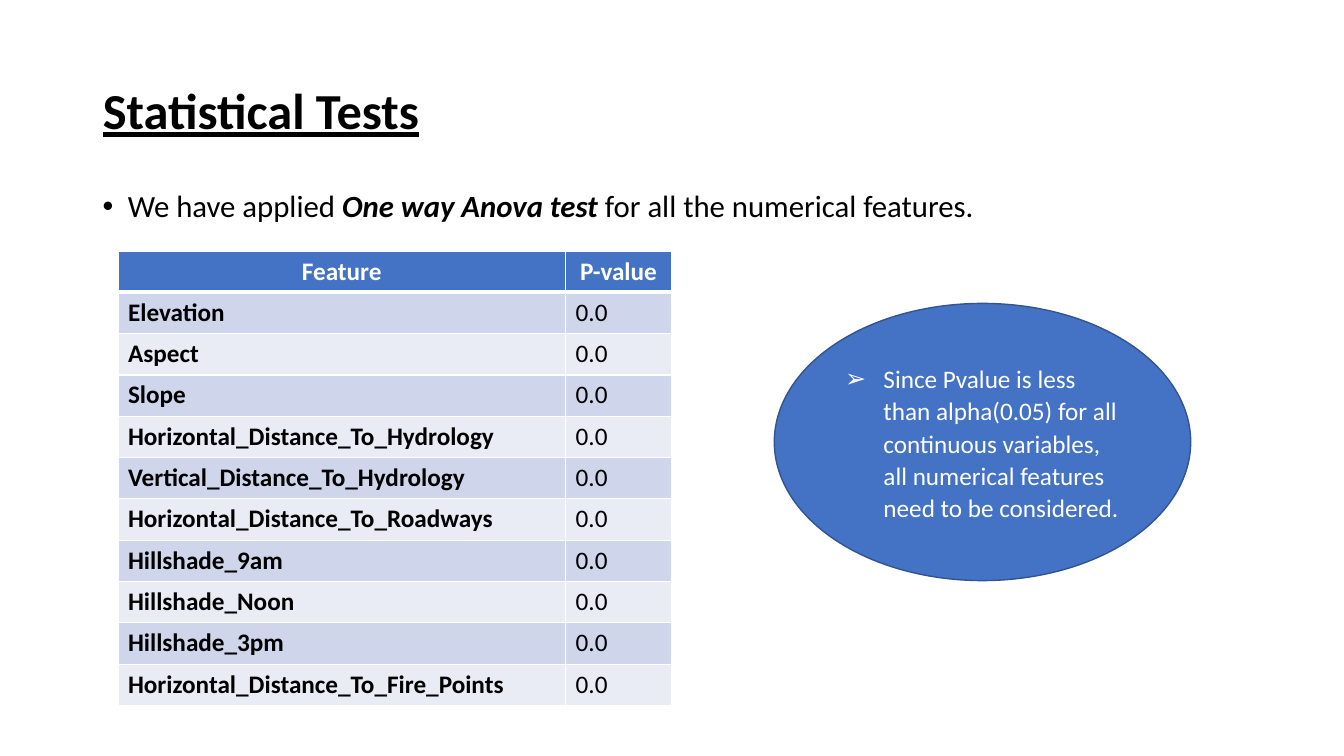
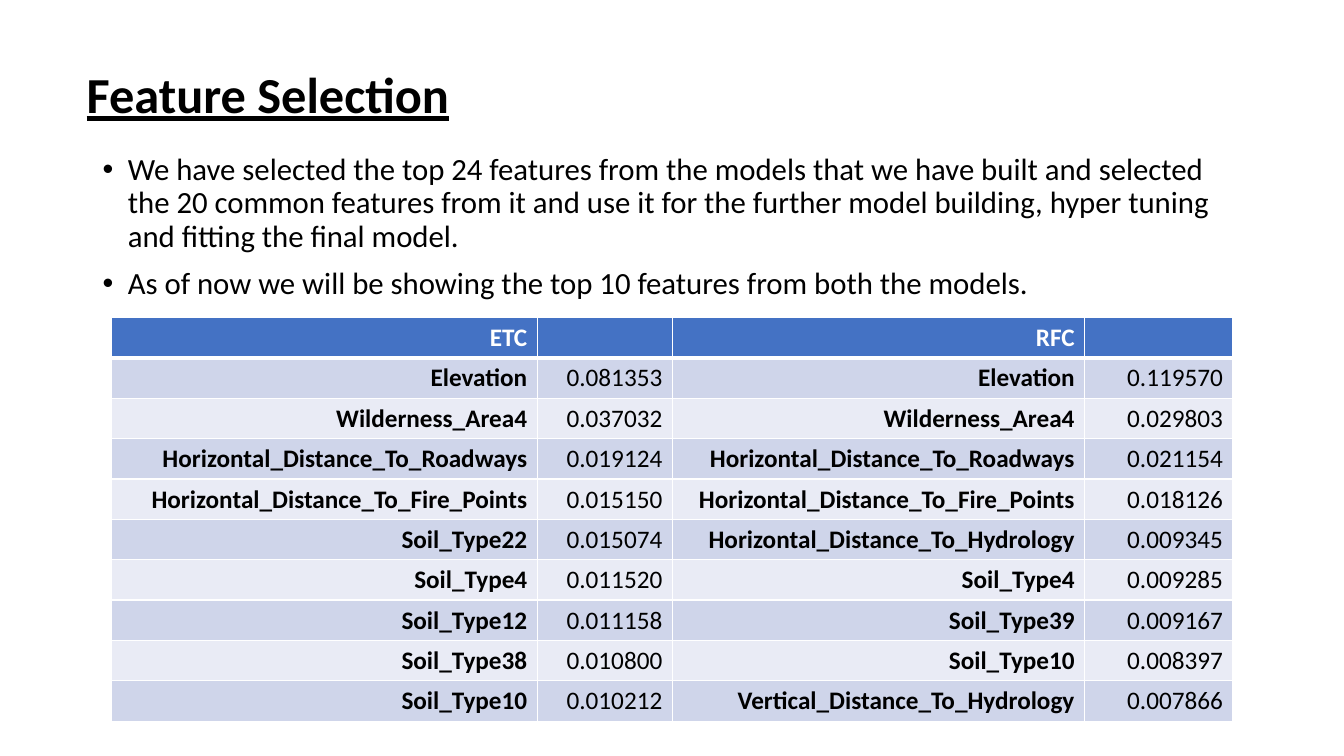
from dataclasses import dataclass

from lxml import etree
from pptx import Presentation
from pptx.dml.color import RGBColor
from pptx.enum.shapes import MSO_SHAPE
from pptx.enum.text import MSO_ANCHOR, MSO_AUTO_SIZE, PP_ALIGN
from pptx.oxml.ns import qn
from pptx.util import Inches, Pt

LEFT, CENTER, RIGHT = PP_ALIGN.LEFT, PP_ALIGN.CENTER, PP_ALIGN.RIGHT
TOP, MIDDLE = MSO_ANCHOR.TOP, MSO_ANCHOR.MIDDLE
ELLIPSE = MSO_SHAPE.OVAL
NO_AUTOFIT = MSO_AUTO_SIZE.NONE
TITLE_ONLY = 5


@dataclass(frozen=True)
class Theme:
    font: str = "Calibri"
    ink: str = "000000"
    paper: str = "FFFFFF"
    accent: str = "4472C4"
    accent_edge: str = "325491"
    bands: tuple = ("CFD5EA", "E9EBF5")
    title_size: int = 36
    body_size: int = 22
    detail_size: int = 18


class Deck:
    def __init__(self, theme):
        self.theme = theme
        self.prs = Presentation()
        self.prs.slide_width = Inches(13.33)
        self.prs.slide_height = Inches(7.5)
        self.slide = None

    def add_run(self, paragraph, text, size, color, bold=False, italic=False):
        run = paragraph.add_run()
        run.text = text
        font = run.font
        font.name, font.size = self.theme.font, Pt(size)
        font.bold, font.italic = bold, italic
        font.color.rgb = RGBColor.from_string(color)
        return run

    def set_bullet(self, paragraph, mark, indent):
        """Hang the paragraph behind its mark; call after setting its spacing."""
        props = paragraph._p.get_or_add_pPr()
        props.set("marL", str(Inches(indent)))
        props.set("indent", str(-Inches(indent)))
        etree.SubElement(props, qn("a:buFont"), typeface="Arial")
        etree.SubElement(props, qn("a:buChar"), char=mark)

    def add_slide(self, title, left, top):
        self.slide = self.prs.slides.add_slide(self.prs.slide_layouts[TITLE_ONLY])
        heading = self.slide.shapes.title
        heading.left, heading.top = Inches(left), Inches(top)
        heading.width, heading.height = Inches(11.5), Inches(1.45)
        frame = heading.text_frame
        frame.auto_size = NO_AUTOFIT
        frame.vertical_anchor = MIDDLE
        paragraph = frame.paragraphs[0]
        paragraph.alignment = LEFT
        paragraph.line_spacing = 0.9
        run = self.add_run(paragraph, title, self.theme.title_size, self.theme.ink, bold=True)
        run.font.underline = True

    def add_bullets(self, top, points):
        """Each point is a list of (text, emphasised) pairs."""
        body = self.slide.shapes.add_textbox(
            Inches(0.92), Inches(top), Inches(11.5), Inches(4.76))
        frame = body.text_frame
        frame.word_wrap = True
        for index, point in enumerate(points):
            paragraph = frame.add_paragraph() if index else frame.paragraphs[0]
            paragraph.line_spacing = 0.9
            paragraph.space_before = Pt(10)
            self.set_bullet(paragraph, "•", 0.25)
            for text, emphasised in point:
                self.add_run(paragraph, text, self.theme.body_size, self.theme.ink,
                             bold=emphasised, italic=emphasised)

    def set_borders(self, cell, bottom_width):
        props = cell._tc.get_or_add_tcPr()
        widths = {"a:lnL": 1, "a:lnR": 1, "a:lnT": 1, "a:lnB": bottom_width}
        for position, (side, width) in enumerate(widths.items()):
            line = etree.Element(qn(side), w=str(Pt(width)))
            fill = etree.SubElement(line, qn("a:solidFill"))
            etree.SubElement(fill, qn("a:srgbClr"), val=self.theme.paper)
            props.insert(position, line)

    def add_table(self, left, top, widths, row_height, rows, header_align, align, anchor):
        """Banded table whose columns alternate between bold names and values."""
        theme = self.theme
        table = self.slide.shapes.add_table(
            len(rows), len(widths), Inches(left), Inches(top),
            Inches(sum(widths)), Inches(row_height * len(rows))).table
        for column, width in zip(table.columns, widths):
            column.width = Inches(width)
        for r, row in enumerate(rows):
            is_header = r == 0
            table.rows[r].height = Inches(row_height)
            for c, text in enumerate(row):
                cell = table.cell(r, c)
                cell.vertical_anchor = anchor
                cell.fill.solid()
                cell.fill.fore_color.rgb = RGBColor.from_string(
                    theme.accent if is_header else theme.bands[(r - 1) % 2])
                self.set_borders(cell, 3 if is_header else 1)
                paragraph = cell.text_frame.paragraphs[0]
                paragraph.alignment = header_align if is_header else align
                if text:
                    self.add_run(paragraph, text, theme.detail_size,
                                 theme.paper if is_header else theme.ink,
                                 bold=is_header or c % 2 == 0)

    def add_callout(self, left, top, width, height, text):
        theme = self.theme
        callout = self.slide.shapes.add_shape(
            ELLIPSE, Inches(left), Inches(top), Inches(width), Inches(height))
        callout.shadow.inherit = False
        callout.fill.solid()
        callout.fill.fore_color.rgb = RGBColor.from_string(theme.accent)
        callout.line.color.rgb = RGBColor.from_string(theme.accent_edge)
        callout.line.width = Pt(1)
        frame = callout.text_frame
        frame.word_wrap = True
        frame.vertical_anchor = MIDDLE
        paragraph = frame.paragraphs[0]
        paragraph.alignment = LEFT
        paragraph.line_spacing = 1.07
        paragraph.space_after = Pt(8)
        self.set_bullet(paragraph, "➢", 0.38)
        self.add_run(paragraph, text, theme.detail_size, theme.paper)


TESTED_FEATURES = [
    "Elevation", "Aspect", "Slope",
    "Horizontal_Distance_To_Hydrology", "Vertical_Distance_To_Hydrology",
    "Horizontal_Distance_To_Roadways",
    "Hillshade_9am", "Hillshade_Noon", "Hillshade_3pm",
    "Horizontal_Distance_To_Fire_Points",
]

IMPORTANCES = [
    ("ETC", "", "RFC", ""),
    ("Elevation", "0.081353", "Elevation", "0.119570"),
    ("Wilderness_Area4", "0.037032", "Wilderness_Area4", "0.029803"),
    ("Horizontal_Distance_To_Roadways", "0.019124",
     "Horizontal_Distance_To_Roadways", "0.021154"),
    ("Horizontal_Distance_To_Fire_Points", "0.015150",
     "Horizontal_Distance_To_Fire_Points", "0.018126"),
    ("Soil_Type22", "0.015074", "Horizontal_Distance_To_Hydrology", "0.009345"),
    ("Soil_Type4", "0.011520", "Soil_Type4", "0.009285"),
    ("Soil_Type12", "0.011158", "Soil_Type39", "0.009167"),
    ("Soil_Type38", "0.010800", "Soil_Type10", "0.008397"),
    ("Soil_Type10", "0.010212", "Vertical_Distance_To_Hydrology", "0.007866"),
]


def add_statistical_tests(deck):
    deck.add_slide("Statistical Tests", 0.92, 0.4)
    deck.add_bullets(1.85, [[
        ("We have applied ", False),
        ("One way Anova test ", True),
        ("for all the numerical features.", False),
    ]])
    p_values = [("Feature", "P-value")] + [(name, "0.0") for name in TESTED_FEATURES]
    deck.add_table(1.17, 2.49, [4.44, 1.05], 0.41, p_values, CENTER, LEFT, TOP)
    deck.add_callout(
        7.68, 3.01, 4.13, 2.75,
        "Since Pvalue is less than alpha(0.05) for all continuous variables, "
        "all numerical features need to be considered.")


def add_feature_selection(deck):
    deck.add_slide("Feature Selection", 0.76, 0.24)
    deck.add_bullets(1.48, [
        [("We have selected the top 24 features from the models that we have built "
          "and selected the 20 common features from it and use it for the further "
          "model building, hyper tuning and fitting the final model.", False)],
        [("As of now we will be showing the top 10 features from both the models.",
          False)],
    ])
    deck.add_table(1.11, 3.15, [4.22, 1.34, 4.09, 1.47], 0.4, IMPORTANCES,
                   RIGHT, RIGHT, MIDDLE)


def main():
    deck = Deck(Theme())
    add_statistical_tests(deck)
    add_feature_selection(deck)
    deck.prs.save("out.pptx")


if __name__ == "__main__":
    main()
